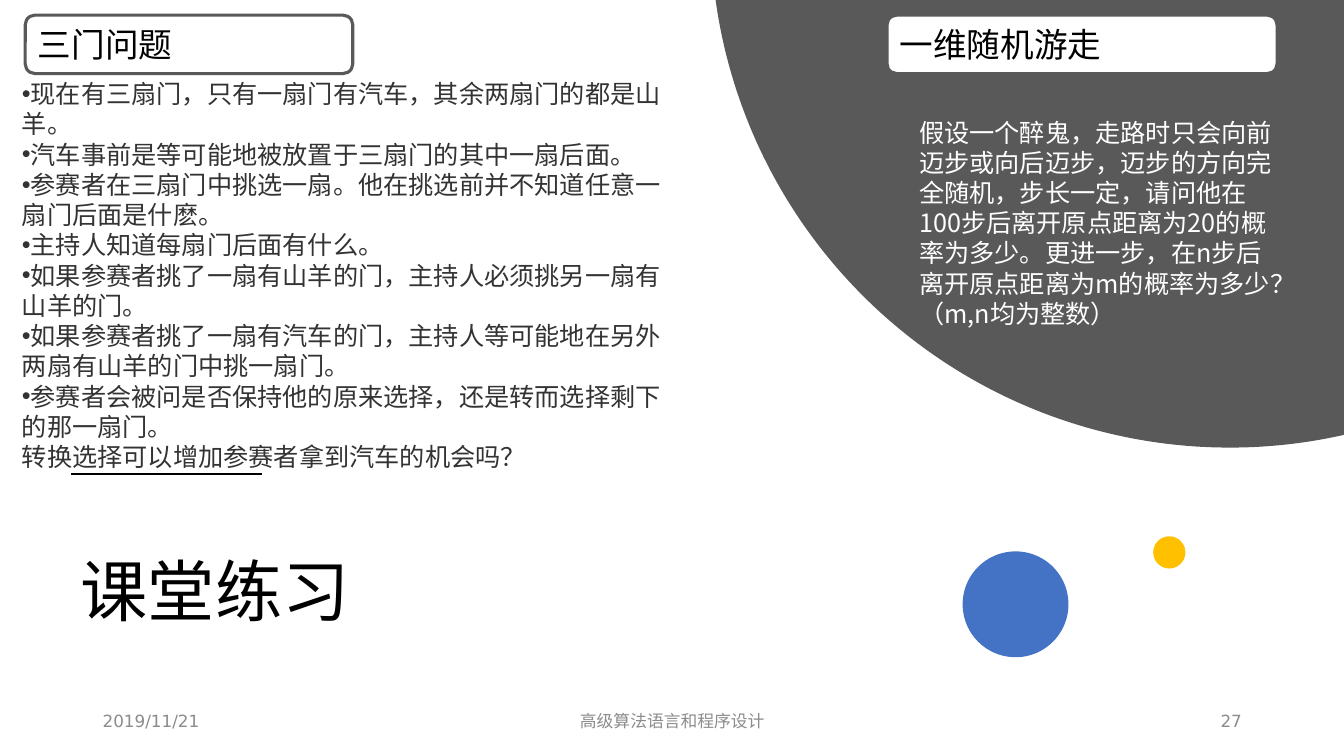
"""Build the class exercise slide with its two probability puzzles."""
from dataclasses import dataclass
from math import cos, radians, sin

from lxml import etree
from pptx import Presentation
from pptx.dml.color import RGBColor
from pptx.enum.shapes import MSO_CONNECTOR, MSO_SHAPE
from pptx.enum.text import MSO_ANCHOR, MSO_AUTO_SIZE, PP_ALIGN
from pptx.oxml.ns import qn
from pptx.util import Pt

LEFT, CENTER, RIGHT = PP_ALIGN.LEFT, PP_ALIGN.CENTER, PP_ALIGN.RIGHT
TOP, MIDDLE = MSO_ANCHOR.TOP, MSO_ANCHOR.MIDDLE
OVAL, ROUND = MSO_SHAPE.OVAL, MSO_SHAPE.ROUNDED_RECTANGLE
STRAIGHT, FIXED = MSO_CONNECTOR.STRAIGHT, MSO_AUTO_SIZE.NONE


@dataclass(frozen=True)
class Theme:
    black: RGBColor = RGBColor(0x00, 0x00, 0x00)
    white: RGBColor = RGBColor(0xFF, 0xFF, 0xFF)
    dark: RGBColor = RGBColor(0x59, 0x59, 0x59)
    ink: RGBColor = RGBColor(0x33, 0x33, 0x33)
    gray: RGBColor = RGBColor(0x8C, 0x8C, 0x8C)
    blue: RGBColor = RGBColor(0x44, 0x72, 0xC4)
    gold: RGBColor = RGBColor(0xFF, 0xC0, 0x00)
    han: str = "Noto Sans CJK SC"
    sans: str = "DejaVu Sans"
    latin: str = "Arial"
    title: int = 48
    head: int = 24
    body: int = 18
    foot: int = 12


theme = Theme()


def write(shape, lines, font, size, color, align=LEFT, anchor=TOP):
    frame = shape.text_frame
    frame.text = "\n".join(lines)
    frame.word_wrap = True
    frame.auto_size = FIXED
    frame.vertical_anchor = anchor
    for para in frame.paragraphs:
        para.alignment = align
        para.font.name = font
        para.font.size = Pt(size)
        para.font.color.rgb = color
    return frame.paragraphs


def paint(shape, fill):
    shape.shadow.inherit = False
    shape.fill.solid()
    shape.fill.fore_color.rgb = fill
    shape.line.fill.background()


wide, high = 960, 540
deck = Presentation()
deck.slide_width, deck.slide_height = Pt(wide), Pt(high)
shapes = deck.slides.add_slide(deck.slide_layouts[5]).shapes

title = shapes.title
title.left, title.top = Pt(50.4), Pt(356.4)
title.width, title.height = Pt(583.2), Pt(136.8)
lines = write(title, ["课堂练习"], theme.han, theme.title, theme.black, LEFT, MIDDLE)
lines[0].line_spacing = 0.9

mid_x, mid_y, radius = 878.4, -51.1, 370.8
start, end, steps = radians(-12.71), radians(82.08), 120
arc = []
for step in range(steps + 1):
    angle = start + (end - start) * step / steps
    arc.append((Pt(mid_x - radius * sin(angle)), Pt(mid_y + radius * cos(angle))))
disc = shapes.build_freeform(Pt(wide), 0)
disc.add_line_segments(arc)
paint(disc.convert_to_shape(), theme.dark)

rule = shapes.add_connector(STRAIGHT, Pt(50.4), Pt(338.4), Pt(187.2), Pt(338.4))
rule.line.color.rgb = theme.black
rule.line.width = Pt(1.5)
etree.SubElement(rule._element.spPr, qn("a:effectLst"))

dots = [(687.6, 393.84, 75.6, theme.blue), (823.7, 383.04, 23.04, theme.gold)]
for left, top, size, color in dots:
    dot = shapes.add_shape(OVAL, Pt(left), Pt(top), Pt(size), Pt(size))
    paint(dot, color)

feet = [
    (66.24, 216, "2019/11/21", LEFT),
    (318.24, 324, "高级算法语言和程序设计", CENTER),
    (678.24, 216, "27", RIGHT),
]
for left, width, text, align in feet:
    foot = shapes.add_textbox(Pt(left), Pt(500.4), Pt(width), Pt(28.8))
    write(foot, [text], theme.sans, theme.foot, theme.gray, align, MIDDLE)

heads = [(18, 234, "三门问题"), (633.6, 278.64, "一维随机游走")]
for left, width, text in heads:
    head = shapes.add_shape(ROUND, Pt(left), Pt(10.8), Pt(width), Pt(41.76))
    paint(head, theme.white)
    head.line.color.rgb = theme.dark
    head.line.width = Pt(2.25)
    write(head, [text], theme.sans, theme.head, theme.black, LEFT, MIDDLE)

facts = [
    "现在有三扇门，只有一扇门有汽车，其余两扇门的都是山羊。",
    "汽车事前是等可能地被放置于三扇门的其中一扇后面。",
    "参赛者在三扇门中挑选一扇。他在挑选前并不知道任意一扇门后面是什麽。",
    "主持人知道每扇门后面有什么。",
    "如果参赛者挑了一扇有山羊的门，主持人必须挑另一扇有山羊的门。",
    "如果参赛者挑了一扇有汽车的门，主持人等可能地在另外两扇有山羊的门中挑一扇门。",
    "参赛者会被问是否保持他的原来选择，还是转而选择剩下的那一扇门。",
]
query = "转换选择可以增加参赛者拿到汽车的机会吗？"
doors = shapes.add_textbox(Pt(8.64), Pt(52.56), Pt(480.24), Pt(334.08))
lines = write(doors, facts + [query], theme.latin, theme.body, theme.ink)
for para in lines[:len(facts)]:
    props = para._p.get_or_add_pPr()
    props.set("marL", "0")
    props.set("indent", "0")
    style = props.find(qn("a:defRPr"))
    style.addprevious(etree.Element(qn("a:buFont"), typeface=theme.latin))
    style.addprevious(etree.Element(qn("a:buChar"), char="•"))

puzzle = (
    "假设一个醉鬼，走路时只会向前迈步或向后迈步，迈步的方向完全随机，步长一定，"
    "请问他在100步后离开原点距离为20的概率为多少。"
    "更进一步，在n步后离开原点距离为m的概率为多少？（m,n均为整数）"
)
walk = shapes.add_textbox(Pt(649.44), Pt(79.9), Pt(272.88), Pt(182))
write(walk, [puzzle], theme.han, theme.body, theme.white)

deck.save("out.pptx")
